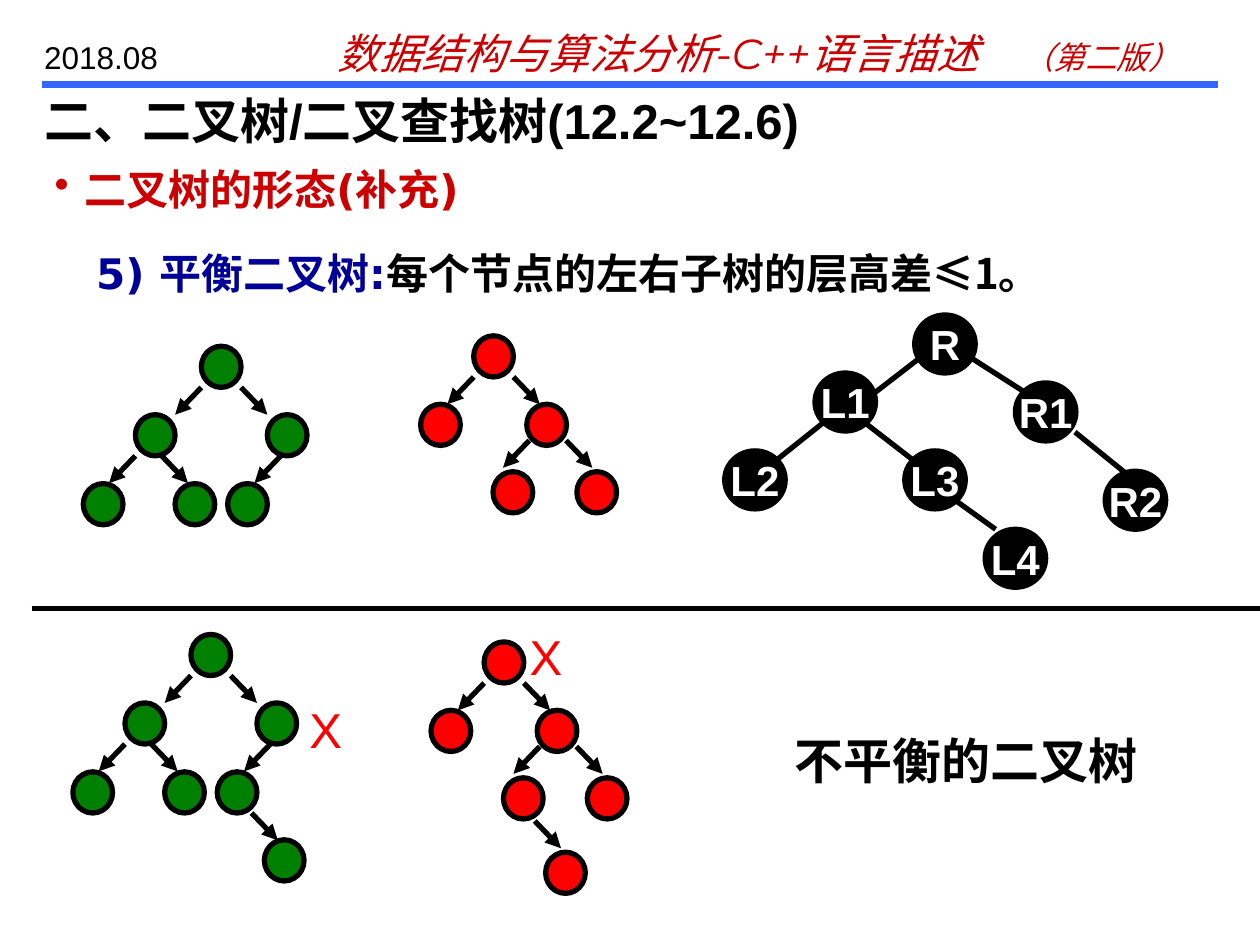
from dataclasses import dataclass
from typing import NamedTuple

import pptx
import pptx.dml.color
import pptx.enum.shapes
import pptx.enum.text
import pptx.oxml.ns
import pptx.util
from lxml import etree

Cm, Pt = pptx.util.Cm, pptx.util.Pt
qn = pptx.oxml.ns.qn
ALIGN, ANCHOR = pptx.enum.text.PP_ALIGN, pptx.enum.text.MSO_ANCHOR


@dataclass(frozen=True)
class Theme:
    black: str = "000000"
    white: str = "FFFFFF"
    rule: str = "3366FF"
    heading: str = "CC0000"
    term: str = "000099"
    green: str = "008000"
    red: str = "FF0000"
    title_size: int = 28
    body_size: int = 24
    small_size: int = 18
    latin: str = "Arial"
    body: str = "DejaVu Sans"
    header: str = "Montserrat"
    cjk: str = "Noto Sans CJK SC"
    line_width: float = 3


T = Theme()


class Run(NamedTuple):
    text: str
    size: int
    color: str
    font: str = T.latin
    bold: bool = False
    italic: bool = False


class Box(NamedTuple):
    x: float
    y: float
    w: float
    h: float


class Arrow(NamedTuple):
    x: float
    y: float
    side: int  # -1 leads to the left child, 1 to the right child


class Tree(NamedTuple):
    color: str
    nodes: list  # offsets from the root
    arrows: list


class Node(NamedTuple):
    label: str
    x: float
    y: float


def rgb(color: str):
    return pptx.dml.color.RGBColor.from_string(color)


def write(p, *runs: Run) -> None:
    for run in runs:
        r = p.add_run()
        r.text = run.text
        values = {"size": Pt(run.size), "name": run.font,
                  "bold": run.bold, "italic": run.italic}
        for name, value in values.items():
            setattr(r.font, name, value)
        r.font.color.rgb = rgb(run.color)
        latin = r.font._element.find(qn("a:latin"))
        ea = etree.Element(qn("a:ea"), typeface=T.cjk)
        latin.addnext(ea)


def add_text(shapes, box: Box, *runs: Run, align=ALIGN.LEFT):
    sp = shapes.add_textbox(*map(Cm, box))
    sp.text_frame.word_wrap = True
    p = sp.text_frame.paragraphs[0]
    p.alignment = align
    write(p, *runs)
    return p


def add_line(shapes, x1: float, y1: float, x2: float, y2: float,
             color: str = T.black, width: float = T.line_width, arrow: bool = False) -> None:
    cx = shapes.add_connector(pptx.enum.shapes.MSO_CONNECTOR.STRAIGHT,
                              Cm(x1), Cm(y1), Cm(x2), Cm(y2))
    cx.line.color.rgb = rgb(color)
    cx.line.width = Pt(width)
    if arrow:
        etree.SubElement(cx.line._get_or_add_ln(), qn("a:tailEnd"), type="triangle")
    etree.SubElement(cx._element.spPr, qn("a:effectLst"))


def add_circle(shapes, box: Box, color: str):
    sp = shapes.add_shape(pptx.enum.shapes.MSO_SHAPE.OVAL, *map(Cm, box))
    sp.shadow.inherit = False
    sp.fill.solid()
    sp.fill.fore_color.rgb = rgb(color)
    sp.line.color.rgb = rgb(T.black)
    sp.line.width = Pt(T.line_width)
    return sp


def add_tree(shapes, tree: Tree, x: float, y: float, nodes=(), arrows=()) -> None:
    """Draw a tree with its root at x, y, plus any extra nodes and arrows."""
    group = shapes.add_group_shape().shapes
    for dx, dy in [*tree.nodes, *nodes]:
        add_circle(group, Box(x + dx, y + dy, 0.8, 0.83), tree.color)
    for a in [*tree.arrows, *arrows]:
        x1, y1 = x + a.x, y + a.y
        add_line(group, x1, y1, x1 + a.side * 0.53, y1 + 0.55, arrow=True)


def add_labelled_node(shapes, node: Node) -> None:
    tf = add_circle(shapes, Box(node.x, node.y, 1.22, 1.17), T.black).text_frame
    tf.word_wrap = False
    tf.vertical_anchor = ANCHOR.MIDDLE
    p = tf.paragraphs[0]
    p.alignment = ALIGN.CENTER
    write(p, Run(node.label, T.body_size, T.white, bold=True))


GREEN_TREE = Tree(
    T.green,
    [(0, 0), (-1.33, 1.38), (1.33, 1.38), (-2.38, 2.77), (-0.53, 2.77), (0.53, 2.77)],
    [Arrow(0, 0.83, -1), Arrow(0.8, 0.83, 1), Arrow(-1.33, 2.21, -1),
     Arrow(-0.8, 2.21, 1), Arrow(1.6, 2.21, -1)])
RED_TREE = Tree(
    T.red,
    [(0, 0), (-1.07, 1.38), (1.07, 1.38), (0.39, 2.74), (2.08, 2.74)],
    [Arrow(0, 0.83, -1), Arrow(0.8, 0.83, 1), Arrow(1.12, 2.11, -1), Arrow(1.86, 2.11, 1)])
LABELLED = [Node("R", 18.44, 6.35), Node("L1", 16.43, 7.52), Node("L2", 14.61, 9.09),
            Node("L3", 18.24, 9.09), Node("L4", 19.86, 10.67),
            Node("R1", 20.47, 7.72), Node("R2", 22.28, 9.5)]
EDGES = [(18.64, 7.14, 17.63, 7.92), (16.61, 8.51, 15.62, 9.3), (19.46, 7.14, 20.68, 7.92),
         (21.67, 8.71, 22.89, 9.7), (17.42, 8.51, 18.44, 9.3), (19.25, 10.08, 20.07, 10.67)]


def main() -> None:
    prs = pptx.Presentation()
    prs.slide_width, prs.slide_height = Cm(25.4), Cm(19.05)
    s = prs.slides.add_slide(prs.slide_layouts[5])
    shapes = s.shapes

    # Running header
    add_line(shapes, 0.85, 1.7, 24.55, 1.7, T.rule, 4)
    p = add_text(shapes, Box(6.56, 0.42, 17.78, 1.27),
                 Run("数据结构与算法分析-C++语言描述\t", T.body_size, T.heading, T.header, italic=True),
                 Run("（第二版）", T.small_size, T.heading, T.header, italic=True))
    tabs = etree.SubElement(p._p.get_or_add_pPr(), qn("a:tabLst"))
    etree.SubElement(tabs, qn("a:tab"), pos=str(Cm(13.8)), algn="l")
    add_text(shapes, Box(0.64, 0.64, 3.6, 1.02), Run("2018.08", T.small_size, T.black))

    # Title
    title = shapes.title
    frame = {"left": Cm(0.64), "top": Cm(1.7), "width": Cm(24.76), "height": Cm(1.27)}
    for name, value in frame.items():
        setattr(title, name, value)
    tf = title.text_frame
    tf.auto_size = pptx.enum.text.MSO_AUTO_SIZE.NONE
    tf.vertical_anchor = ANCHOR.TOP
    tf.paragraphs[0].alignment = ALIGN.LEFT
    write(tf.paragraphs[0],
          Run("二、二叉树/二叉查找树(12.2~12.6)", T.title_size, T.black, bold=True))

    # Topic and definition
    p = add_text(shapes, Box(0.85, 3.18, 24.55, 1.27),
                 Run("二叉树的形态(补充)", T.body_size, T.heading, T.body, True))
    pPr = p._p.get_or_add_pPr()
    pPr.set("marL", str(Cm(0.6)))
    pPr.set("indent", str(-Cm(0.6)))
    color = etree.SubElement(pPr, qn("a:buClr"))
    etree.SubElement(color, qn("a:srgbClr"), val=T.heading)
    etree.SubElement(pPr, qn("a:buChar"), char="•")
    add_text(shapes, Box(1.69, 4.87, 23.07, 1.27),
             Run("5) 平衡二叉树:", T.body_size, T.term, T.body, True),
             Run("每个节点的左右子树的层高差", T.body_size, T.black, T.body, True),
             Run("≤1。", T.body_size, T.black, T.cjk, True))

    # Balanced trees
    add_tree(shapes, GREEN_TREE, 4.06, 6.98)
    add_tree(shapes, RED_TREE, 9.55, 6.77)
    group = shapes.add_group_shape().shapes
    for node in LABELLED:
        add_labelled_node(group, node)
    for edge in EDGES:
        add_line(group, *edge)

    # Unbalanced trees, one node deeper, with the failing node marked
    add_line(shapes, 0.64, 12.27, 25.4, 12.27)
    add_tree(shapes, GREEN_TREE, 3.85, 12.79, [(1.48, 4.14)], [Arrow(1.22, 3.6, 1)])
    add_tree(shapes, RED_TREE, 9.76, 12.94, [(1.24, 4.24)], [Arrow(1.02, 3.61, 1)])
    for x, y in [(5.93, 13.97), (10.37, 12.5)]:
        add_text(shapes, Box(x, y, 1.27, 1.45), Run("X", T.title_size, T.red),
                 align=ALIGN.CENTER)
    add_text(shapes, Box(15.45, 14.61, 8.04, 1.45),
             Run("不平衡的二叉树", T.title_size, T.black, bold=True), align=ALIGN.CENTER)

    prs.save("out.pptx")


if __name__ == "__main__":
    main()
